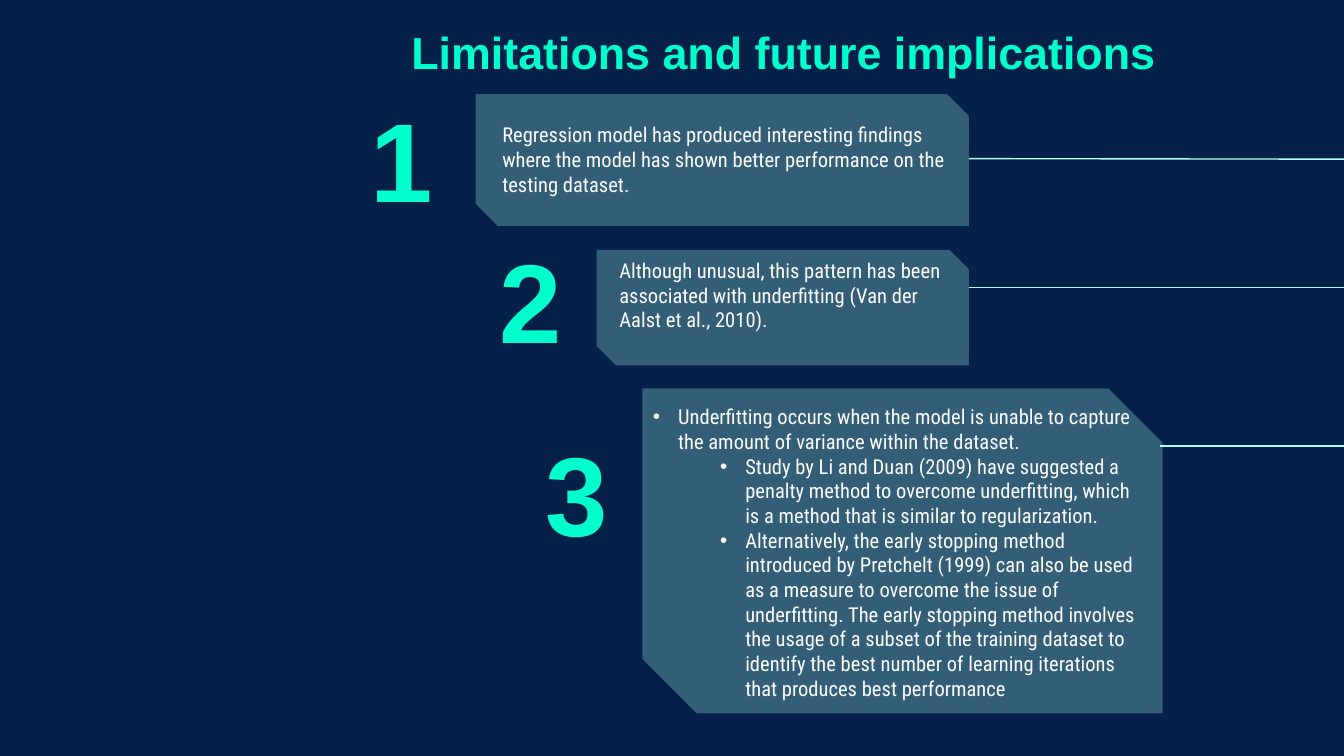
"""Build the slide on limitations and future implications."""
import pptx
import pptx.util
import pptx.dml.color
import pptx.enum.shapes
import pptx.enum.text
import pptx.oxml.ns
import lxml.etree

Pt = pptx.util.Pt
ALIGN = pptx.enum.text.PP_ALIGN
ANCHOR = pptx.enum.text.MSO_ANCHOR

NAVY, MINT, PALE, WHITE = "05214A", "00FFCD", "AAFFEE", "FFFFFF"
TITLE = "Limitations and future implications"
ITEMS = [
    dict(number=(115.2, 54.7, 123.8, 59.8), panel=(254.9, 50.4, 264.2, 70.6),
         body=(262, 72, 257, 26.6), anchor=ANCHOR.MIDDLE, line=(884.2, 85.5, 519.1, 85),
         text=["Regression model has produced interesting findings where the model has "
               "shown better performance on the testing dataset."]),
    dict(number=(169.2, 130.3, 139, 59.8), panel=(319.7, 133.9, 199.4, 61.9),
         body=(324.7, 131, 188.6, 26.6), anchor=ANCHOR.TOP, line=(725, 154, 519.1, 154),
         text=["Although unusual, this pattern has been associated with underfitting "
               "(Van der Aalst et al., 2010)."]),
    dict(number=(191.5, 233.3, 141.1, 59.8), panel=(344.2, 208, 278.6, 174.2),
         body=(342.7, 209.5, 278.6, 108), anchor=ANCHOR.TOP, line=(725, 239, 621.4, 239),
         indents=[13.5, 49.5, 49.5],
         text=["Underfitting occurs when the model is unable to capture the amount of "
               "variance within the dataset.",
               "Study by Li and Duan (2009) have suggested a penalty method to overcome "
               "underfitting, which is a method that is similar to regularization.",
               "Alternatively, the early stopping method introduced by Pretchelt (1999) can "
               "also be used as a measure to overcome the issue of underfitting. The early "
               "stopping method involves the usage of a subset of the training dataset to "
               "identify the best number of learning iterations that produces best "
               "performance"]),
]


def rgb(code):
    return pptx.dml.color.RGBColor.from_string(code)


def add_xml(parent, tag, **attrs):
    el = lxml.etree.SubElement(parent, pptx.oxml.ns.qn(tag))
    for name, value in attrs.items():
        el.set(name, str(value))
    return el


def add_text(s, box, texts, size=11, font="Roboto Condensed", color=WHITE, bold=False,
             align=ALIGN.LEFT, anchor=ANCHOR.TOP, indents=()):
    tf = s.shapes.add_textbox(*map(Pt, box)).text_frame
    tf.word_wrap = True
    tf.vertical_anchor = anchor
    tf.margin_left = tf.margin_right = tf.margin_top = tf.margin_bottom = Pt(7.2)
    for i, text in enumerate(texts):
        p = tf.paragraphs[0] if i == 0 else tf.add_paragraph()
        p.alignment = align
        r = p.add_run()
        r.text = text
        r.font.size, r.font.name, r.font.bold = Pt(size), font, bold
        r.font.color.rgb = rgb(color)
        if indents:
            p.level = int(indents[i] > indents[0])
            pPr = p._p.get_or_add_pPr()
            pPr.set("marL", str(Pt(indents[i])))
            pPr.set("indent", str(-Pt(indents[0])))
            add_xml(add_xml(pPr, "a:buClr"), "a:srgbClr", val=color)
            add_xml(pPr, "a:buFont", typeface="Arial")
            add_xml(pPr, "a:buChar", char="•")


def add_line(s, ends):
    line = s.shapes.add_connector(pptx.enum.shapes.MSO_CONNECTOR.STRAIGHT, *map(Pt, ends))
    line.line.color.rgb = rgb(PALE)
    line.line.width = Pt(0.75)
    add_xml(line._element.spPr, "a:effectLst")


def add_panel(s, box):
    sp = s.shapes.add_shape(pptx.enum.shapes.MSO_SHAPE.SNIP_2_DIAG_RECTANGLE, *map(Pt, box))
    sp.adjustments[0], sp.adjustments[1] = 0, 0.167
    sp.shadow.inherit = False
    sp.line.fill.background()
    sp.fill.solid()
    sp.fill.fore_color.rgb = rgb(PALE)
    fill = sp._element.spPr.find(".//" + pptx.oxml.ns.qn("a:srgbClr"))
    add_xml(fill, "a:alpha", val=28000)


def main():
    prs = pptx.Presentation()
    prs.slide_width, prs.slide_height = Pt(720), Pt(405)
    s = prs.slides.add_slide(prs.slide_layouts[6])
    s.background.fill.solid()
    s.background.fill.fore_color.rgb = rgb(NAVY)
    heading = dict(font="Arial", color=MINT, bold=True)
    add_text(s, (154, 5.8, 531.4, 74.2), [TITLE], size=24, align=ALIGN.CENTER, **heading)
    for number, item in enumerate(ITEMS, 1):
        add_line(s, item["line"])
        add_text(s, item["number"], [str(number)], size=60, align=ALIGN.RIGHT,
                 anchor=ANCHOR.MIDDLE, **heading)
        add_panel(s, item["panel"])
        add_text(s, item["body"], item["text"], anchor=item["anchor"],
                 indents=item.get("indents", ()))
    prs.save("out.pptx")


if __name__ == "__main__":
    main()
